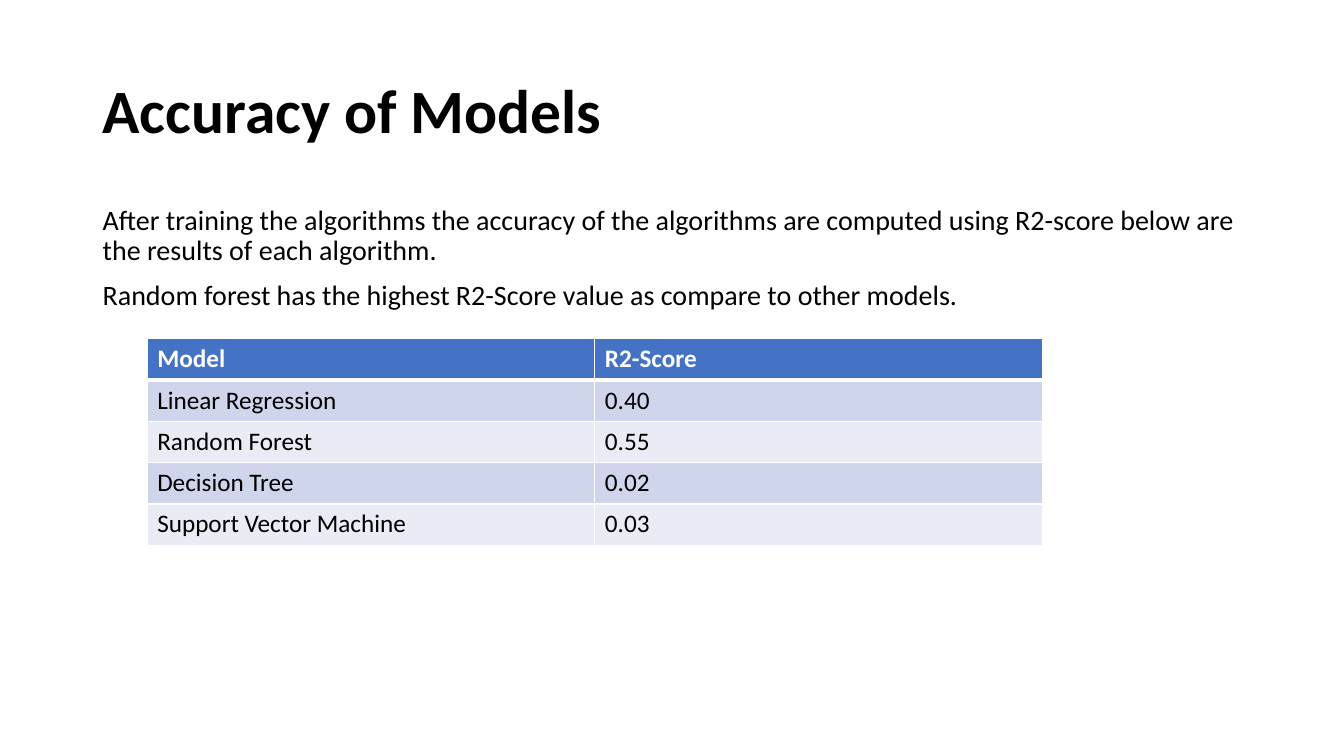
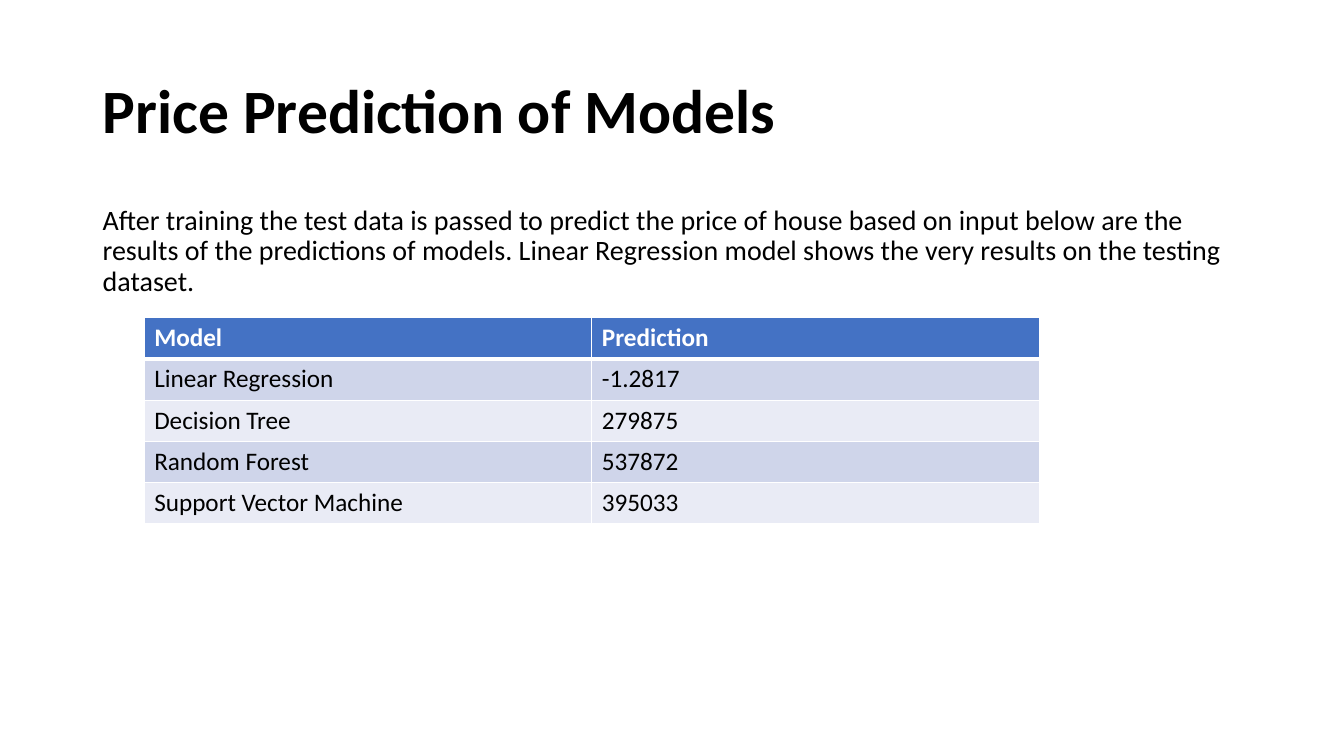
import pptx
import pptx.dml.color
import pptx.enum.text
import pptx.oxml
import pptx.oxml.ns
import pptx.util

Inches = pptx.util.Inches
Pt = pptx.util.Pt
RGBColor = pptx.dml.color.RGBColor
Anchor = pptx.enum.text.MSO_ANCHOR

# Colours
BLACK = RGBColor(0, 0, 0)
WHITE = RGBColor(255, 255, 255)
BLUE = RGBColor(0x44, 0x72, 0xC4)
BANDS = (RGBColor(0xCF, 0xD5, 0xEA), RGBColor(0xE9, 0xEB, 0xF5))

# Text styles
TITLE = {"name": "Calibri", "size": Pt(44), "bold": True}
BODY = {"name": "Calibri", "size": Pt(20), "bold": False}
HEAD = {"name": "Calibri", "size": Pt(18), "bold": True}
CELL = {**HEAD, "bold": False}

# Paragraph formats
TIGHT = {"line_spacing": 0.9}
SPACED = {**TIGHT, "space_before": Pt(10)}

# Lengths in inches
LEFT, WIDTH = 0.92, 11.5
COL, ROW = 4.44, 0.41


def apply(target, values):
    for key, value in values.items():
        setattr(target, key, value)


class Deck:
    def __init__(self):
        self.file = pptx.Presentation()
        apply(self.file, {"slide_width": Inches(13.33),
                          "slide_height": Inches(7.5)})
        self.slide = None

    def page(self):
        self.slide = self.file.slides.add_slide(self.file.slide_layouts[6])

    def label(self, para, text, font, color):
        run = para.add_run()
        run.text = text
        apply(run.font, font)
        run.font.color.rgb = color

    def text(self, top, height, lines, font, form, anchor):
        box = self.slide.shapes.add_textbox(
            Inches(LEFT), Inches(top), Inches(WIDTH), Inches(height))
        frame = box.text_frame
        apply(frame, {"word_wrap": True, "vertical_anchor": anchor})
        for num, line in enumerate(lines):
            para = frame.add_paragraph() if num else frame.paragraphs[0]
            apply(para, form)
            self.label(para, line, font, BLACK)

    def title(self, text):
        self.text(0.4, 1.45, [text], TITLE, TIGHT, Anchor.MIDDLE)

    def body(self, lines):
        self.text(2, 4.76, lines, BODY, SPACED, Anchor.TOP)

    def border(self, cell, side, width):
        line = pptx.oxml.parse_xml(
            f'<a:ln{side} {pptx.oxml.ns.nsdecls("a")} w="{Pt(width)}">'
            f'<a:solidFill><a:srgbClr val="{WHITE}"/></a:solidFill>'
            f'</a:ln{side}>')
        cell._tc.get_or_add_tcPr().append(line)

    def table(self, left, top, rows):
        count = len(rows[0])
        grid = self.slide.shapes.add_table(
            len(rows), count, Inches(left), Inches(top),
            Inches(COL * count), Inches(ROW * len(rows))).table
        for col in grid.columns:
            col.width = Inches(COL)
        for r, row in enumerate(rows):
            grid.rows[r].height = Inches(ROW)
            fill = BANDS[(r - 1) % 2] if r else BLUE
            font, color = (CELL, BLACK) if r else (HEAD, WHITE)
            # The rule below the header is thicker than the others
            rules = {"L": 1, "R": 1, "T": 3 if r == 1 else 1,
                     "B": 1 if r else 3}
            for c, text in enumerate(row):
                cell = grid.cell(r, c)
                for side, width in rules.items():
                    self.border(cell, side, width)
                cell.fill.solid()
                cell.fill.fore_color.rgb = fill
                self.label(cell.text_frame.paragraphs[0], text, font, color)


def main():
    deck = Deck()

    # Accuracy
    deck.page()
    deck.title("Accuracy of Models")
    deck.body([
        "After training the algorithms the accuracy of the algorithms are "
        "computed using R2-score below are the results of each algorithm.",
        "Random forest has the highest R2-Score value as compare to other "
        "models."])
    deck.table(1.46, 3.36, [
        ("Model", "R2-Score"),
        ("Linear Regression", "0.40"),
        ("Random Forest", "0.55"),
        ("Decision Tree", "0.02"),
        ("Support Vector Machine", "0.03")])

    # Predictions
    deck.page()
    deck.title("Price Prediction of Models")
    deck.body([
        "After training the test data is passed to predict the price of "
        "house based on input below are the results of the predictions of "
        "models. Linear Regression model shows the very results on the "
        "testing dataset."])
    deck.table(1.43, 3.15, [
        ("Model", "Prediction"),
        ("Linear Regression", "-1.2817"),
        ("Decision Tree", "279875"),
        ("Random Forest", "537872"),
        ("Support Vector Machine", "395033")])

    deck.file.save("out.pptx")


if __name__ == "__main__":
    main()
